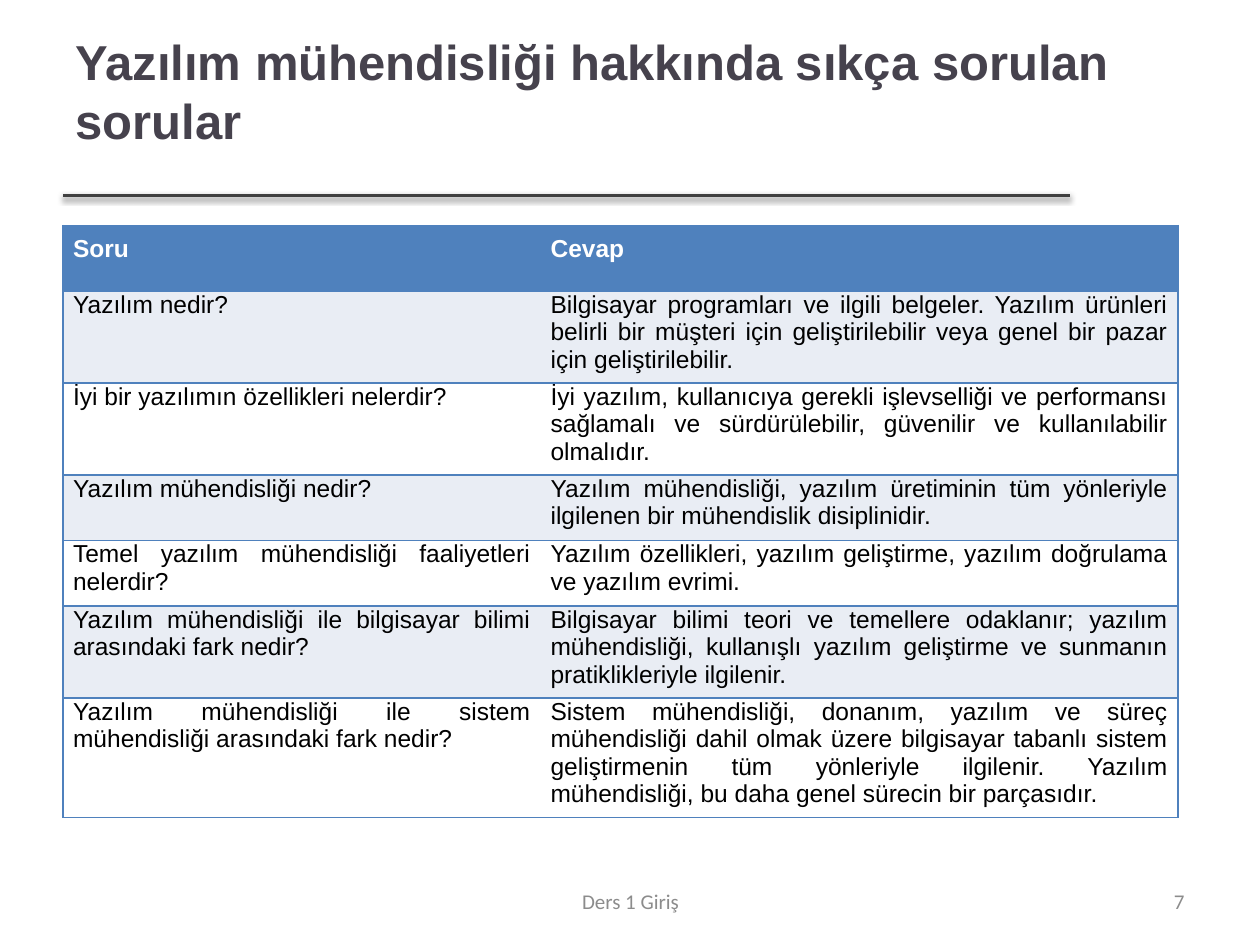
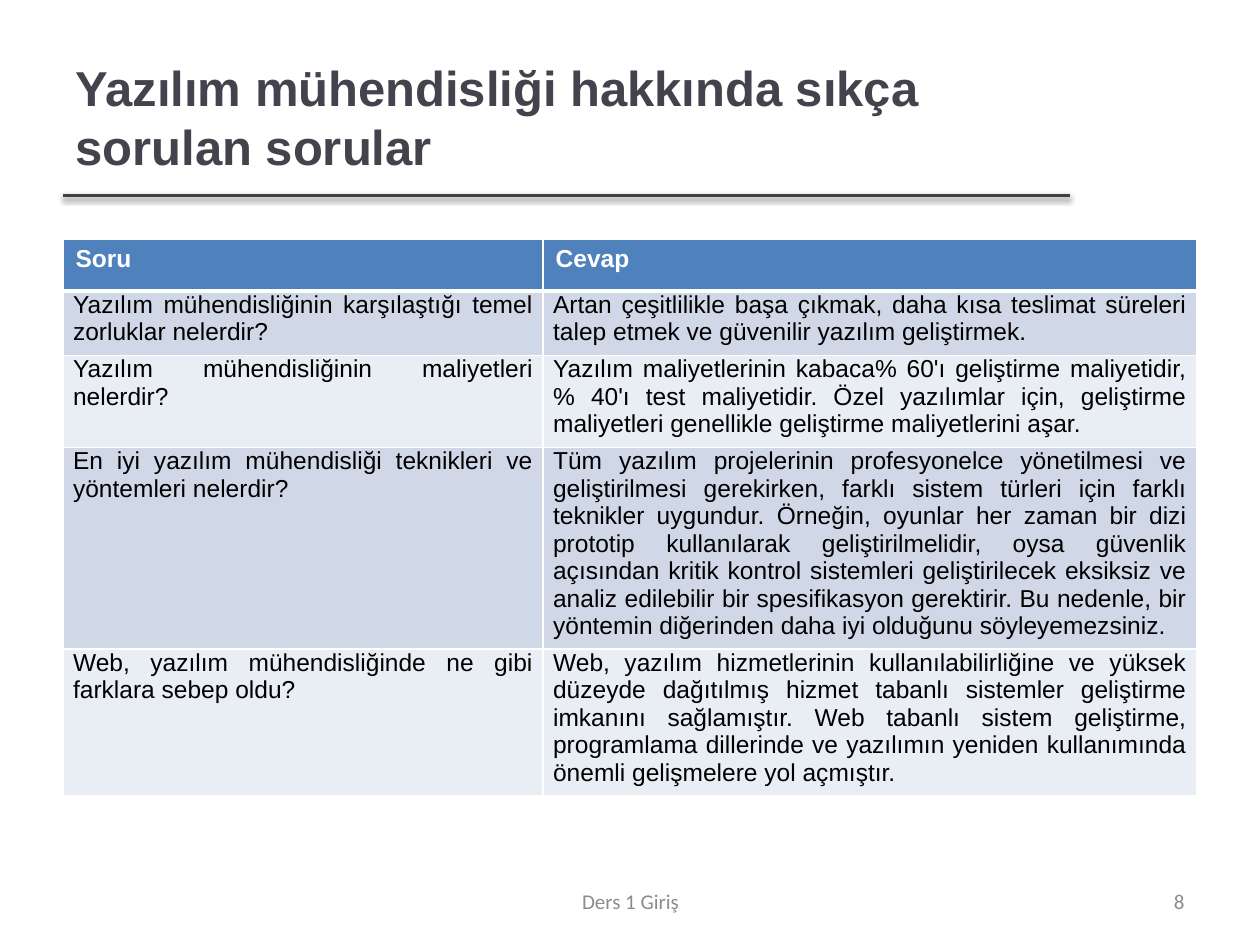
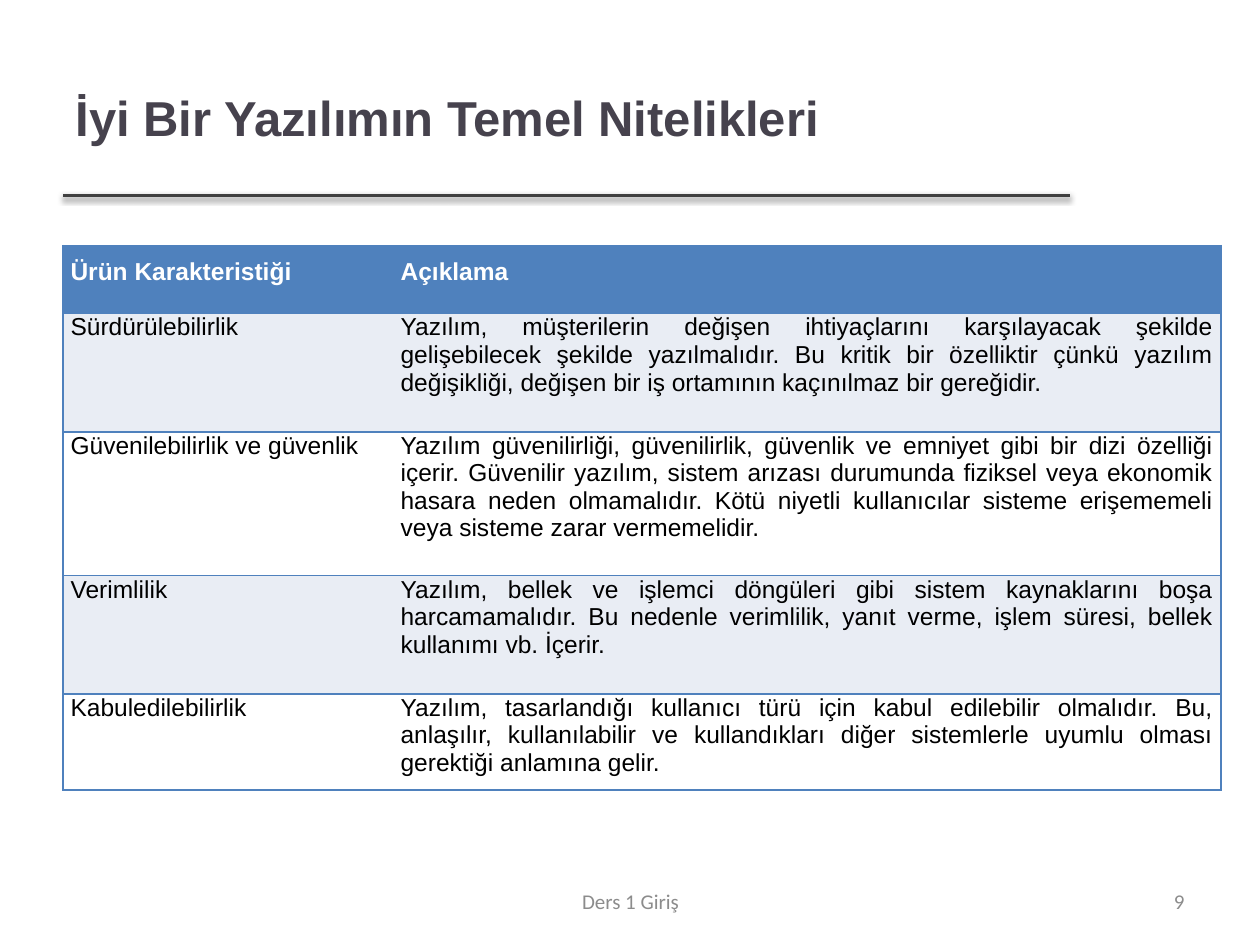
from lxml import etree
from pptx import Presentation
from pptx.dml.color import RGBColor
from pptx.enum.shapes import MSO_CONNECTOR
from pptx.enum.text import MSO_ANCHOR, MSO_AUTO_SIZE, PP_ALIGN
from pptx.oxml.ns import qn
from pptx.util import Inches, Pt

LEFT, CENTER, RIGHT, JUSTIFY = PP_ALIGN.LEFT, PP_ALIGN.CENTER, PP_ALIGN.RIGHT, PP_ALIGN.JUSTIFY
MIDDLE = MSO_ANCHOR.MIDDLE
NO_FIT = MSO_AUTO_SIZE.NONE
STRAIGHT = MSO_CONNECTOR.STRAIGHT
TITLE_ONLY = 5

COLORS = {
    "title": "46424D",
    "rule": "404040",
    "footer": "8C8C8C",
    "blue": "4F81BD",
    "mist": "E9EDF4",
    "haze": "D0D8E8",
    "white": "FFFFFF",
    "black": "000000",
}
FOOTER = "Ders 1 Giriş"
FAQ_TITLE = "Yazılım mühendisliği hakkında sıkça sorulan sorular"
STYLES = {
    "outlined": {"bands": ("mist", "white"), "line": "blue", "inner": None, "header_line": 1},
    "gridded": {"bands": ("haze", "mist"), "line": "white", "inner": "white", "header_line": 3},
}

PAGES = [
    {
        "number": 7,
        "title": FAQ_TITLE,
        "title_box": (0.5, 0.3, 8.41, 1.29),
        "title_bottom": 0.5,
        "style": "outlined",
        "corner": (0.5, 1.79),
        "columns": (3.79, 5.06),
        "heights": (0.52, 0.73, 0.73, 0.52, 0.52, 0.73, 0.95),
        "header_insets": (0.08, 0.08, 0.08, 0.08),
        "body_insets": (0.08, 0, 0.08, 0.07),
        "rows": [
            ("Soru", "Cevap"),
            ("Yazılım nedir?",
             "Bilgisayar programları ve ilgili belgeler. Yazılım ürünleri belirli bir müşteri için "
             "geliştirilebilir veya genel bir pazar için geliştirilebilir."),
            ("İyi bir yazılımın özellikleri nelerdir?",
             "İyi yazılım, kullanıcıya gerekli işlevselliği ve performansı sağlamalı ve "
             "sürdürülebilir, güvenilir ve kullanılabilir olmalıdır."),
            ("Yazılım mühendisliği nedir?",
             "Yazılım mühendisliği, yazılım üretiminin tüm yönleriyle ilgilenen bir mühendislik "
             "disiplinidir."),
            ("Temel yazılım mühendisliği faaliyetleri nelerdir?",
             "Yazılım özellikleri, yazılım geliştirme, yazılım doğrulama ve yazılım evrimi."),
            ("Yazılım mühendisliği ile bilgisayar bilimi arasındaki fark nedir?",
             "Bilgisayar bilimi teori ve temellere odaklanır; yazılım mühendisliği, kullanışlı "
             "yazılım geliştirme ve sunmanın pratiklikleriyle ilgilenir."),
            ("Yazılım mühendisliği ile sistem mühendisliği arasındaki fark nedir?",
             "Sistem mühendisliği, donanım, yazılım ve süreç mühendisliği dahil olmak üzere "
             "bilgisayar tabanlı sistem geliştirmenin tüm yönleriyle ilgilenir. Yazılım "
             "mühendisliği, bu daha genel sürecin bir parçasıdır."),
        ],
    },
    {
        "number": 8,
        "title": FAQ_TITLE,
        "title_box": (0.5, 0.3, 7.98, 1.25),
        "title_bottom": 0.05,
        "style": "gridded",
        "corner": (0.5, 1.9),
        "columns": (3.81, 5.19),
        "heights": (0.41, 0.51, 0.73, 1.6, 1.17),
        "header_insets": (0.1, 0.05, 0.1, 0.05),
        "body_insets": (0.08, 0, 0.08, 0.07),
        "rows": [
            ("Soru", "Cevap"),
            ("Yazılım mühendisliğinin karşılaştığı temel zorluklar nelerdir?",
             "Artan çeşitlilikle başa çıkmak, daha kısa teslimat süreleri talep etmek ve güvenilir "
             "yazılım geliştirmek."),
            ("Yazılım mühendisliğinin maliyetleri nelerdir?",
             "Yazılım maliyetlerinin kabaca% 60'ı geliştirme maliyetidir,% 40'ı test maliyetidir. "
             "Özel yazılımlar için, geliştirme maliyetleri genellikle geliştirme maliyetlerini aşar."),
            ("En iyi yazılım mühendisliği teknikleri ve yöntemleri nelerdir?",
             "Tüm yazılım projelerinin profesyonelce yönetilmesi ve geliştirilmesi gerekirken, "
             "farklı sistem türleri için farklı teknikler uygundur. Örneğin, oyunlar her zaman bir "
             "dizi prototip kullanılarak geliştirilmelidir, oysa güvenlik açısından kritik kontrol "
             "sistemleri geliştirilecek eksiksiz ve analiz edilebilir bir spesifikasyon gerektirir. "
             "Bu nedenle, bir yöntemin diğerinden daha iyi olduğunu söyleyemezsiniz."),
            ("Web, yazılım mühendisliğinde ne gibi farklara sebep oldu?",
             "Web, yazılım hizmetlerinin kullanılabilirliğine ve yüksek düzeyde dağıtılmış hizmet "
             "tabanlı sistemler geliştirme imkanını sağlamıştır. Web tabanlı sistem geliştirme, "
             "programlama dillerinde ve yazılımın yeniden kullanımında önemli gelişmelere yol "
             "açmıştır."),
        ],
    },
    {
        "number": 9,
        "title": "İyi Bir Yazılımın Temel Nitelikleri",
        "title_box": (0.5, 0.3, 7.98, 1.25),
        "title_bottom": 0.05,
        "style": "outlined",
        "corner": (0.5, 1.95),
        "columns": (2.62, 6.57),
        "heights": (0.54, 0.94, 1.14, 0.94, 0.76),
        "header_insets": (0.06, 0.1, 0.06, 0.1),
        "body_insets": (0.06, 0, 0.06, 0.1),
        "rows": [
            ("Ürün Karakteristiği", "Açıklama"),
            ("Sürdürülebilirlik",
             "Yazılım, müşterilerin değişen ihtiyaçlarını karşılayacak şekilde gelişebilecek "
             "şekilde yazılmalıdır. Bu kritik bir özelliktir çünkü yazılım değişikliği, değişen "
             "bir iş ortamının kaçınılmaz bir gereğidir."),
            ("Güvenilebilirlik ve güvenlik",
             "Yazılım güvenilirliği, güvenilirlik, güvenlik ve emniyet gibi bir dizi özelliği "
             "içerir. Güvenilir yazılım, sistem arızası durumunda fiziksel veya ekonomik hasara "
             "neden olmamalıdır. Kötü niyetli kullanıcılar sisteme erişememeli veya sisteme zarar "
             "vermemelidir."),
            ("Verimlilik",
             "Yazılım, bellek ve işlemci döngüleri gibi sistem kaynaklarını boşa harcamamalıdır. "
             "Bu nedenle verimlilik, yanıt verme, işlem süresi, bellek kullanımı vb. İçerir."),
            ("Kabuledilebilirlik",
             "Yazılım, tasarlandığı kullanıcı türü için kabul edilebilir olmalıdır. Bu, "
             "anlaşılır, kullanılabilir ve kullandıkları diğer sistemlerle uyumlu olması gerektiği "
             "anlamına gelir."),
        ],
    },
]


def rgb(name):
    return RGBColor.from_string(COLORS[name])


def write(frame, text, size=14, font="Arial", color="black", bold=False, align=LEFT):
    para = frame.paragraphs[0]
    para.alignment = align
    span = para.add_run()
    span.text = text
    span.font.size = Pt(size)
    span.font.name = font
    span.font.bold = bold
    span.font.color.rgb = rgb(color)


def add_title(page, text, box, bottom):
    title = page.shapes.title
    title.left, title.top, title.width, title.height = map(Inches, box)
    frame = title.text_frame
    frame.word_wrap = True
    frame.auto_size = NO_FIT
    frame.vertical_anchor = MIDDLE
    frame.margin_bottom = Inches(bottom)
    write(frame, text, size=28, color="title", bold=True)


def add_rule(page, left, top, width):
    rule = page.shapes.add_connector(
        STRAIGHT, Inches(left), Inches(top), Inches(left + width), Inches(top))
    rule.line.color.rgb = rgb("rule")
    rule.line.width = Pt(2)
    effects = etree.SubElement(rule._element.spPr, qn("a:effectLst"))
    shadow = etree.SubElement(effects, qn("a:outerShdw"), blurRad=str(Pt(3.1)),
                              dist=str(Pt(1.6)), dir="5400000", rotWithShape="0")
    shade = etree.SubElement(shadow, qn("a:srgbClr"), val=COLORS["black"])
    etree.SubElement(shade, qn("a:alpha"), val="38000")


def add_footer_text(page, text, box, align):
    frame = page.shapes.add_textbox(*map(Inches, box)).text_frame
    frame.word_wrap = True
    frame.vertical_anchor = MIDDLE
    write(frame, text, size=12, font="Calibri", color="footer", align=align)


def add_border(cell, side, color, width):
    line = etree.SubElement(cell._tc.get_or_add_tcPr(), qn(f"a:ln{side}"), w=str(Pt(width)))
    if color is None:
        etree.SubElement(line, qn("a:noFill"))
    else:
        fill = etree.SubElement(line, qn("a:solidFill"))
        etree.SubElement(fill, qn("a:srgbClr"), val=COLORS[color])


def format_cell(cell, text, insets, fill, borders, **text_format):
    cell.margin_left, cell.margin_top, cell.margin_right, cell.margin_bottom = map(Inches, insets)
    for side, (color, width) in borders.items():
        add_border(cell, side, color, width)
    cell.fill.solid()
    cell.fill.fore_color.rgb = rgb(fill)
    write(cell.text_frame, text, align=JUSTIFY, **text_format)


def add_answer_table(page, content):
    rows, columns, heights = content["rows"], content["columns"], content["heights"]
    style = STYLES[content["style"]]
    box = (*content["corner"], sum(columns), sum(heights))
    table = page.shapes.add_table(len(rows), len(columns), *map(Inches, box)).table
    table.first_row = table.horz_banding = False
    for column, width in zip(table.columns, columns):
        column.width = Inches(width)
    for row, height in zip(table.rows, heights):
        row.height = Inches(height)
    line, inner = style["line"], style["inner"]
    last = len(columns) - 1
    for r, texts in enumerate(rows):
        header = r == 0
        for c, text in enumerate(texts):
            borders = {
                "L": (line if c == 0 else inner, 1),
                "R": (line if c == last else inner, 1),
                "T": (line, style["header_line"] if r == 1 else 1),
                "B": (line, style["header_line"] if header else 1),
            }
            format_cell(
                table.cell(r, c), text,
                content["header_insets" if header else "body_insets"],
                "blue" if header else style["bands"][(r - 1) % 2],
                borders, color="white" if header else "black", bold=header)


def add_page(deck, content):
    page = deck.slides.add_slide(deck.slide_layouts[TITLE_ONLY])
    add_rule(page, 0.5, 1.55, 7.99)
    add_title(page, content["title"], content["title_box"], content["title_bottom"])
    add_answer_table(page, content)
    add_footer_text(page, FOOTER, (3.42, 6.95, 3.17, 0.4), CENTER)
    add_footer_text(page, str(content["number"]), (7.17, 6.95, 2.33, 0.4), RIGHT)


def main():
    deck = Presentation()
    deck.slide_width, deck.slide_height = Inches(10), Inches(7.5)
    for content in PAGES:
        add_page(deck, content)
    deck.save("out.pptx")


if __name__ == "__main__":
    main()
